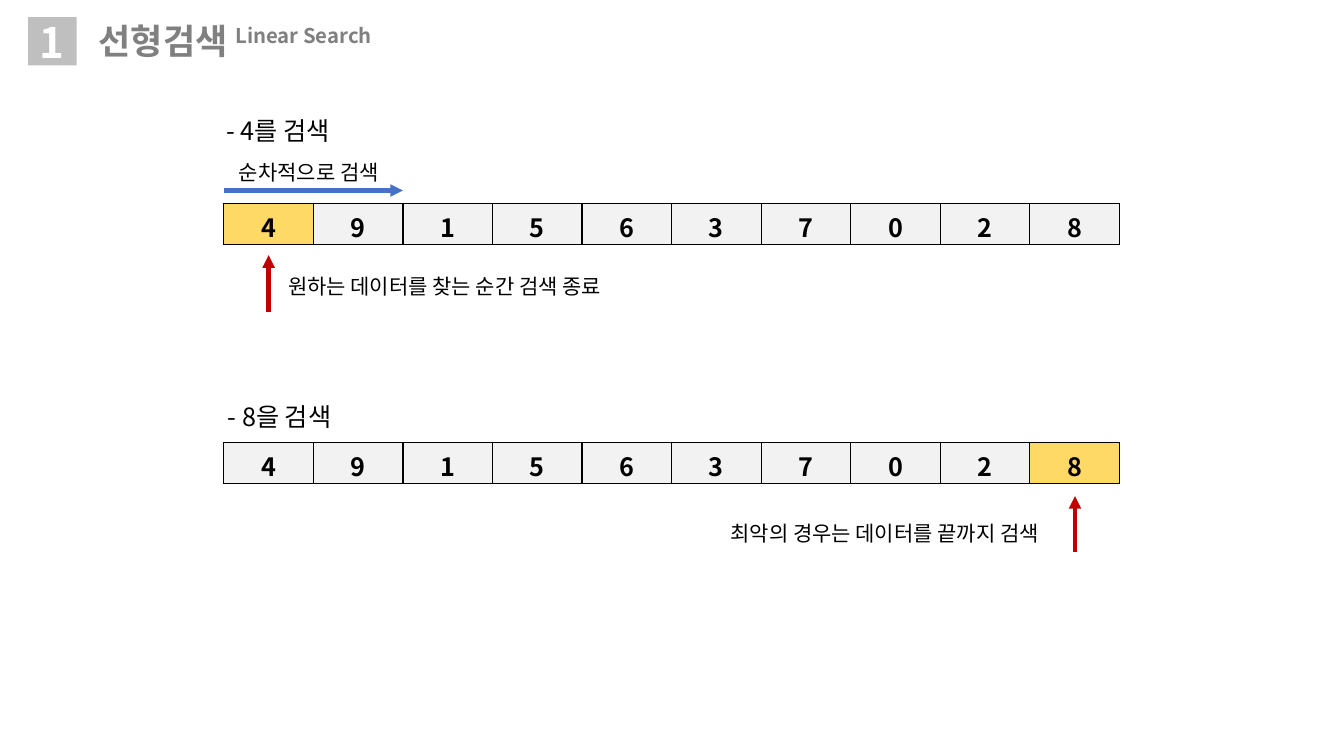
from lxml.etree import SubElement
from pptx import Presentation
from pptx.dml.color import RGBColor
from pptx.enum.shapes import MSO_CONNECTOR as Connector, MSO_SHAPE as Preset
from pptx.enum.text import MSO_ANCHOR as Anchor, PP_ALIGN as Align
from pptx.oxml.ns import qn
from pptx.util import Cm, Pt

COLORS = {
    "text": "000000", "border": "000000", "cell": "F2F2F2", "found": "FFD966",
    "scan": "4472C4", "pointer": "C00000", "badge": "BFBFBF",
    "number": "FFFFFF", "title": "808080",
}
FONT = "Noto Sans CJK KR"
NUMBERS = "4915637028"
ARRAY_LEFT, ARRAY_WIDTH, ROW_HEIGHT = 5.64, 22.58, 1.04


def color(role):
    """Return the colour of a role."""
    return RGBColor.from_string(COLORS[role])


def write(paragraph, text, size=15, role="text", bold=False, align=None, raised=0):
    """Add a formatted run to a paragraph; raised is a percentage."""
    if align is not None:
        paragraph.alignment = align
    run = paragraph.add_run()
    run.text = text
    run.font.size, run.font.bold, run.font.name = Pt(size), bold, FONT
    run.font.color.rgb = color(role)
    properties = run.font._element
    SubElement(properties, qn("a:ea")).set("typeface", FONT)
    if raised:
        properties.set("baseline", str(raised * 1000))


class SearchSlide:
    """Holds the slide and draws its elements, with lengths in centimetres."""

    def __init__(self, deck):
        """Add a blank slide to the deck."""
        self.shapes = deck.slides.add_slide(deck.slide_layouts[6]).shapes

    def label(self, left, top, width, height, *parts):
        """Add a one-line text box from (text, format) pairs."""
        frame = self.shapes.add_textbox(Cm(left), Cm(top), Cm(width), Cm(height)).text_frame
        frame.word_wrap = True
        for text, style in parts:
            write(frame.paragraphs[0], text, **style)

    def badge(self, left, top, side, text):
        """Add the square section number."""
        square = self.shapes.add_shape(Preset.RECTANGLE, Cm(left), Cm(top), Cm(side), Cm(side))
        square.shadow.inherit = False
        square.fill.solid()
        square.fill.fore_color.rgb = color("badge")
        square.line.fill.background()
        square.text_frame.vertical_anchor = Anchor.MIDDLE
        write(square.text_frame.paragraphs[0], text, size=30, role="number",
              bold=True, align=Align.CENTER)

    def arrow(self, x1, y1, x2, y2, role):
        """Add a straight arrow pointing at its second end."""
        line = self.shapes.add_connector(Connector.STRAIGHT, Cm(x1), Cm(y1), Cm(x2), Cm(y2))
        line.line.width = Pt(3)
        line.line.color.rgb = color(role)
        SubElement(line.line._get_or_add_ln(), qn("a:tailEnd")).set("type", "triangle")
        SubElement(line._element.spPr, qn("a:effectLst"))

    def array(self, top, target, bottom_margin=0.13):
        """Add the row of numbers with the target highlighted."""
        table = self.shapes.add_table(1, len(NUMBERS), Cm(ARRAY_LEFT), Cm(top),
                                      Cm(ARRAY_WIDTH), Cm(ROW_HEIGHT)).table
        table.first_row = table.horz_banding = False
        for cell, number in zip(table.iter_cells(), NUMBERS):
            cell.margin_bottom = Cm(bottom_margin)
            write(cell.text_frame.paragraphs[0], number, size=18, bold=True,
                  align=Align.CENTER)
            self.border(cell)
            cell.fill.solid()
            cell.fill.fore_color.rgb = color("found" if number == target else "cell")

    def border(self, cell):
        """Draw a thin line on all four sides of a cell."""
        properties = cell._tc.get_or_add_tcPr()
        for side in ("lnL", "lnR", "lnT", "lnB"):
            line = SubElement(properties, qn(f"a:{side}"), w=str(Pt(1)))
            fill = SubElement(line, qn("a:solidFill"))
            SubElement(fill, qn("a:srgbClr"), val=COLORS["border"])


def main():
    """Build the slide on linear search."""
    deck = Presentation()
    deck.slide_width, deck.slide_height = Cm(33.87), Cm(19.05)
    slide = SearchSlide(deck)

    slide.badge(0.71, 0.43, 1.22, "1")
    heading = {"size": 25, "role": "title", "bold": True}
    slide.label(2.24, 0.36, 17.3, 1.42, ("선형검색 ", heading),
                ("Linear Search", {**heading, "raised": 30}))

    half_column = ARRAY_WIDTH / len(NUMBERS) / 2
    first_center = ARRAY_LEFT + half_column
    last_center = ARRAY_LEFT + ARRAY_WIDTH - half_column

    slide.label(5.46, 2.77, 9.35, 1.02, ("- 4를 검색", {"size": 18}))
    slide.label(5.77, 3.89, 5.74, 0.89, ("순차적으로 검색", {}))
    slide.arrow(ARRAY_LEFT, 4.8, ARRAY_LEFT + 4 * half_column, 4.8, "scan")
    slide.array(5.13, "4")
    slide.arrow(first_center, 7.85, first_center, 6.43, "pointer")
    slide.label(7.01, 6.76, 15.6, 0.89, ("원하는 데이터를 찾는 순간 검색 종료", {}))

    slide.label(5.49, 9.98, 9.35, 1.02, ("- 8을 검색", {"size": 18}))
    slide.array(11.15, "8", bottom_margin=0)
    slide.arrow(last_center, 13.92, last_center, 12.5, "pointer")
    slide.label(18.16, 13, 15.6, 0.89, ("최악의 경우는 데이터를 끝까지 검색", {}))

    deck.save("out.pptx")


main()
